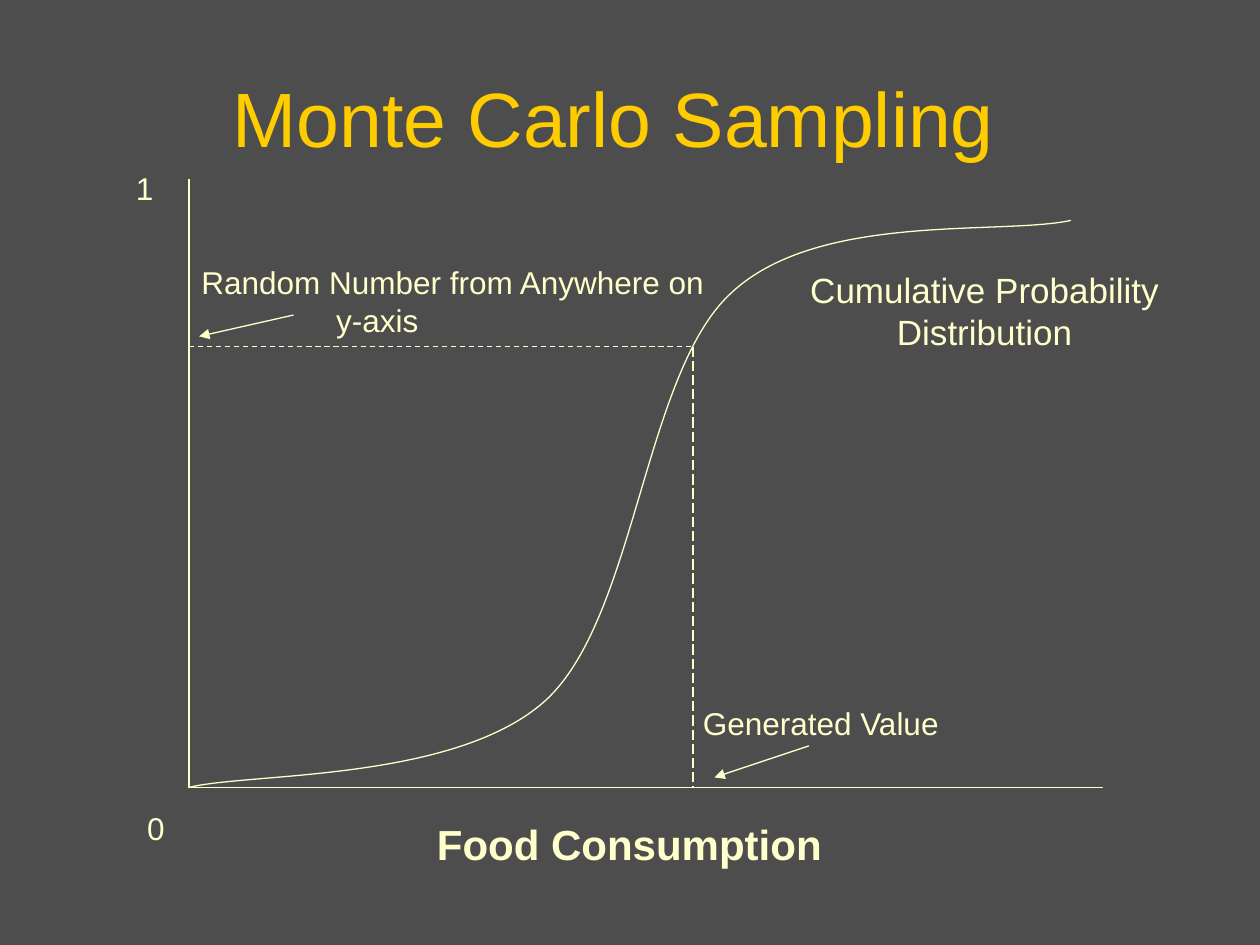
from lxml.etree import SubElement
from pptx import Presentation
from pptx.dml.color import RGBColor
from pptx.enum.dml import MSO_LINE
from pptx.enum.shapes import MSO_CONNECTOR
from pptx.enum.text import MSO_ANCHOR, PP_ALIGN
from pptx.oxml.ns import qn
from pptx.util import Inches, Pt


def rgb(value):
    return RGBColor.from_string(value)


class Deck:
    font = "Arial"
    ink = "FFFFCC"
    accent = "FFCC00"
    background = "4D4D4D"
    line_width = 0.75

    def __init__(self, prs):
        self.s = prs.slides.add_slide(prs.slide_layouts[6])
        fill = self.s.background.fill
        fill.solid()
        fill.fore_color.rgb = rgb(self.background)

    def text(self, lines, x, y, w, h, size=18, color=ink, bold=False,
             align=PP_ALIGN.LEFT, anchor=MSO_ANCHOR.TOP, wrap=False, indents=()):
        box = self.s.shapes.add_textbox(Inches(x), Inches(y), Inches(w), Inches(h))
        tf = box.text_frame
        tf.word_wrap = wrap
        tf.vertical_anchor = anchor
        for i, line in enumerate(lines):
            p = tf.paragraphs[0] if i == 0 else tf.add_paragraph()
            p.alignment = align
            if i < len(indents):
                p._p.get_or_add_pPr().set("marL", str(Inches(indents[i])))
            r = p.add_run()
            r.text = line
            r.font.name = self.font
            r.font.size = Pt(size)
            r.font.bold = bold
            r.font.color.rgb = rgb(color)

    def stroke(self, sp):
        sp.line.color.rgb = rgb(self.ink)
        sp.line.width = Pt(self.line_width)

    def line(self, start, end, dash=None, arrow=False):
        sp = self.s.shapes.add_connector(
            MSO_CONNECTOR.STRAIGHT, *(Inches(v) for v in (*start, *end)))
        self.stroke(sp)
        if dash:
            sp.line.dash_style = dash
        if arrow:
            SubElement(sp.line._get_or_add_ln(), qn("a:tailEnd"), type="triangle")
        SubElement(sp._element.spPr, qn("a:effectLst"))

    def curve(self, start, points):
        """Draw an open Bezier curve; each three points make one segment."""
        builder = self.s.shapes.build_freeform(
            Inches(start[0]), Inches(start[1]), scale=1.0)
        builder.add_line_segments([(Inches(x), Inches(y)) for x, y in points],
                                  close=False)
        sp = builder.convert_to_shape()
        outline = next(sp._element.iter(qn("a:path")))
        segments = outline.findall(qn("a:lnTo"))
        for i in range(0, len(segments), 3):
            bezier = SubElement(outline, qn("a:cubicBezTo"))
            for segment in segments[i:i + 3]:
                bezier.append(segment[0])
                outline.remove(segment)
        sp.fill.background()
        self.stroke(sp)
        sp.shadow.inherit = False


def main():
    prs = Presentation()
    prs.slide_width, prs.slide_height = Inches(10), Inches(7.5)
    deck = Deck(prs)

    # Title
    deck.text(["Monte Carlo Sampling"], 0.67, 0.5, 8.4, 0.84, size=44,
              color=deck.accent, align=PP_ALIGN.CENTER,
              anchor=MSO_ANCHOR.BOTTOM, wrap=True)

    # Axes and their labels
    origin = (1.5, 6.25)
    deck.line((1.5, 1.42), origin)
    deck.line(origin, (8.75, 6.25))
    deck.text(["0"], 1.07, 6.37, 0.34, 0.4)
    deck.text(["1"], 0.98, 1.29, 0.34, 0.4)
    deck.text(["Food Consumption"], 3.37, 6.45, 3.64, 0.5, size=24,
              bold=True, wrap=True)

    # Cumulative distribution
    deck.curve(origin, [(1.97, 6.13), (3.61, 6.21), (4.33, 5.56),
                        (5.05, 4.9), (5.11, 2.95), (5.81, 2.32),
                        (6.5, 1.68), (7.94, 1.87), (8.5, 1.75)])
    deck.text(["Cumulative Probability", "Distribution"], 6.33, 2.08, 2.97, 0.77,
              size=20, align=PP_ALIGN.CENTER)

    # Sampled point projected on both axes
    sample = (5.5, 2.75)
    deck.line((origin[0], sample[1]), sample, dash=MSO_LINE.DASH)
    deck.line(sample, (sample[0], origin[1]), dash=MSO_LINE.LONG_DASH)

    # Notes with arrows
    deck.text(["Random Number from Anywhere on", "y-axis"], 1.5, 2.04, 4.2, 0.7,
              indents=(0, 1.07))
    deck.line((2.33, 2.5), (1.58, 2.67), arrow=True)
    deck.text(["Generated Value"], 5.48, 5.54, 2.09, 0.4)
    deck.line((6.42, 5.92), (5.67, 6.17), arrow=True)

    prs.save("out.pptx")


if __name__ == "__main__":
    main()
